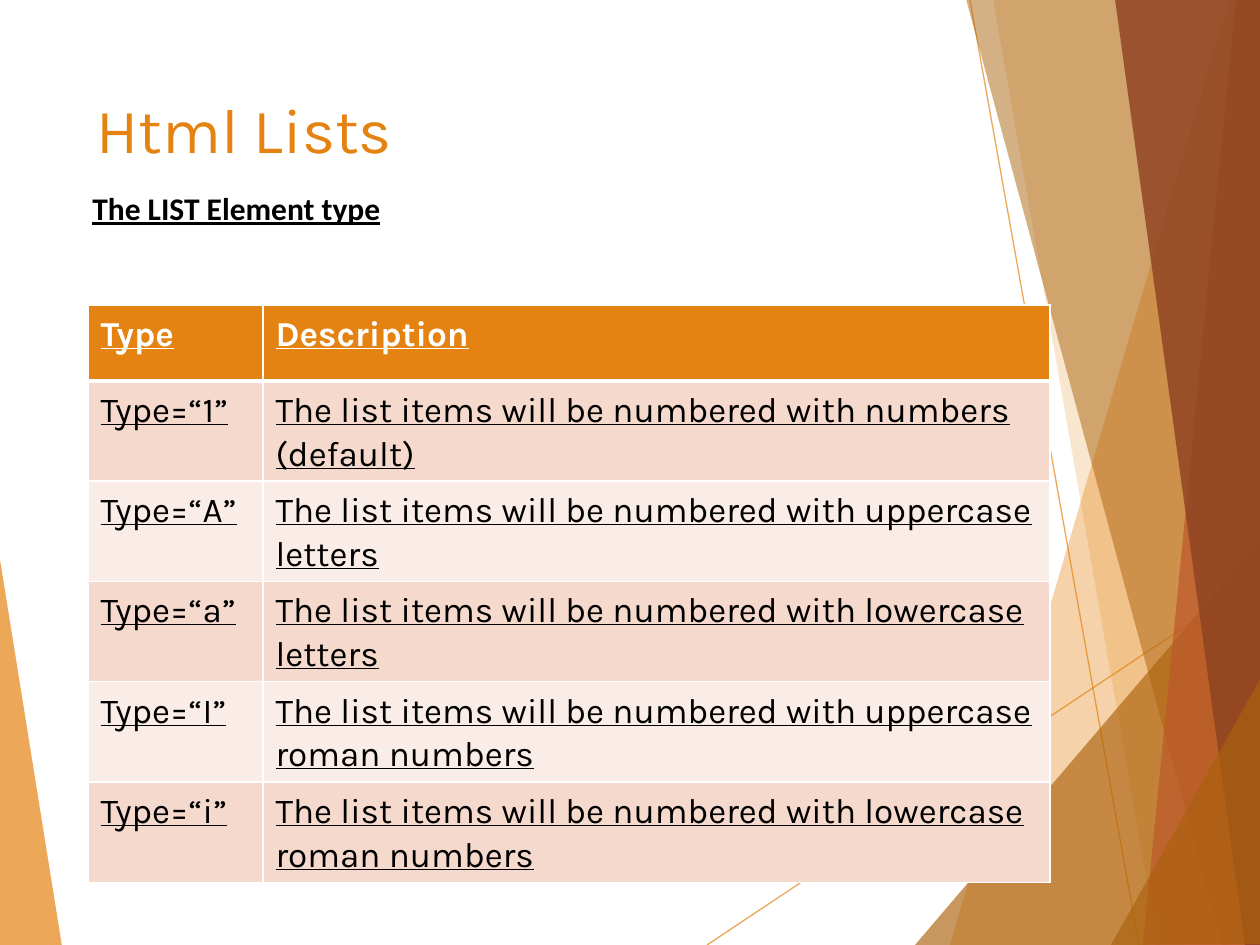
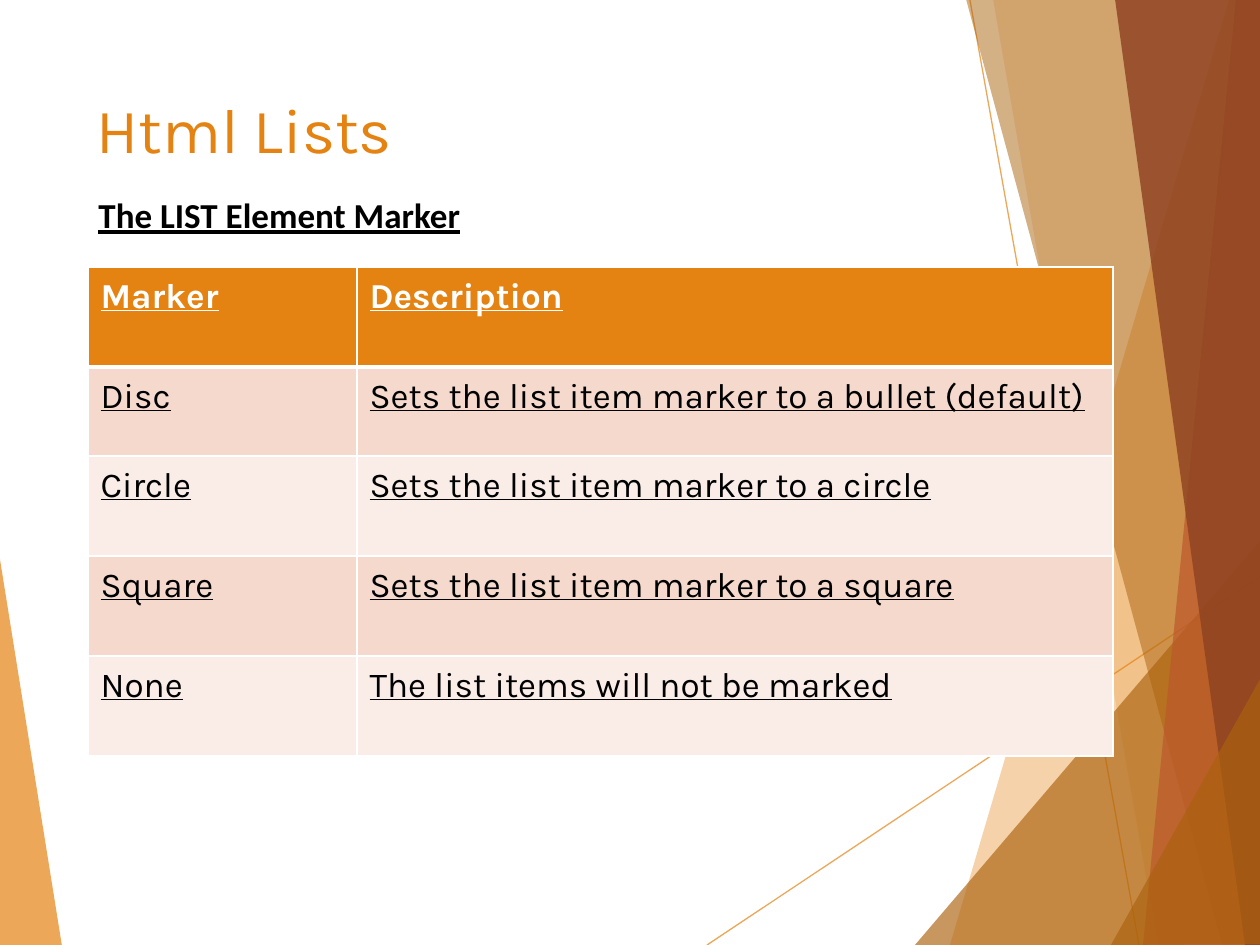
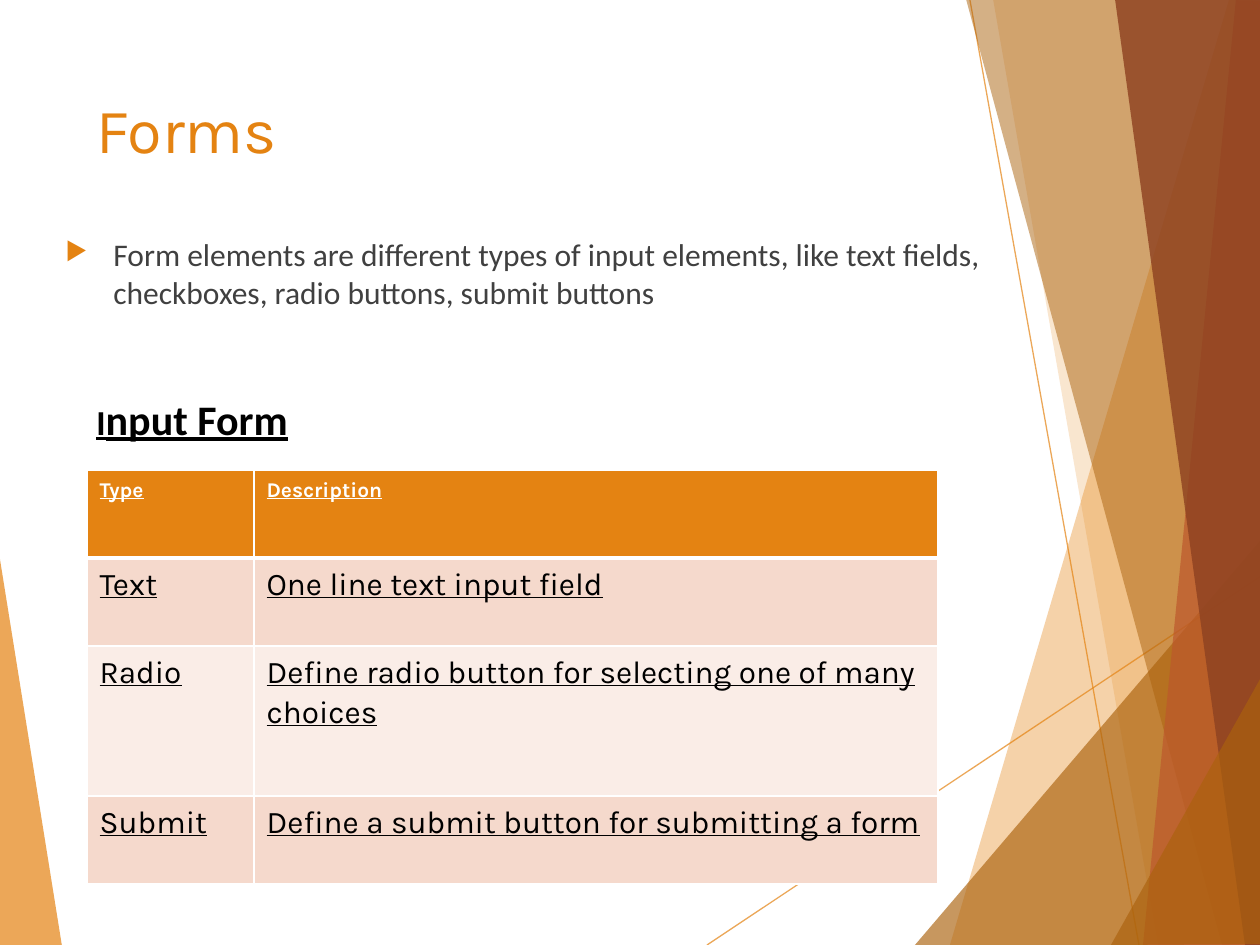
from dataclasses import dataclass
from lxml.etree import SubElement
from pptx import Presentation
from pptx.dml.color import RGBColor as Color
from pptx.enum.shapes import MSO_CONNECTOR as Connector
from pptx.enum.text import MSO_ANCHOR as Anchor, MSO_AUTO_SIZE as AutoSize, PP_ALIGN as Align
from pptx.oxml.ns import qn
from pptx.util import Emu, Pt

SCALE = 914400 / 126


def px(length):
    return Emu(round(length * SCALE))


@dataclass(frozen=True)
class Theme:
    orange: str = "E48312"
    brown: str = "AB620D"
    rust: str = "BD582C"
    chestnut: str = "8E4221"
    band_dark: str = "F5D9CC"
    band_light: str = "FAEDE7"
    white: str = "FFFFFF"
    black: str = "000000"
    gray: str = "404040"
    heading_font: str = "Karla"
    body_font: str = "Calibri"
    title_size: int = 36
    large_size: int = 24
    medium_size: int = 20
    body_size: int = 18
    small_size: int = 12


THEME = Theme()

FACETS_BACK = [
    ([(-1, 553), (62, 946), (-1, 945)], THEME.orange, 70),
]
RAYS = [((707, 945), (1261, 576)), ((970, 0), (1139, 945))]
FACETS_FRONT = [
    ([(1229, 0), (950, 945), (1263, 946), (1261, 1)], THEME.orange, 36),
    ([(993, -1), (1158, 945), (1261, 945), (1261, -1)], THEME.orange, 20),
    ([(915, 945), (1260, 541), (1261, 945)], THEME.brown, 66),
    ([(966, -1), (1222, 945), (1261, 944), (1261, -1)], THEME.brown, 50),
    ([(1236, -1), (1143, 945), (1261, 945), (1260, -1)], THEME.rust, 70),
    ([(1115, -1), (1245, 945), (1263, 945), (1260, -1)], THEME.chestnut, 82),
    ([(1111, 945), (1263, 674), (1263, 944)], THEME.brown, 66),
]


def add_span(para, text, font=THEME.body_font, size=THEME.body_size,
             color=THEME.black, bold=False, underline=False):
    span = para.add_run()
    span.text = text
    span.font.name = font
    span.font.size = Pt(size)
    span.font.color.rgb = Color.from_string(color)
    span.font.bold = bold
    span.font.underline = underline


def set_opacity(shape, percent):
    for color in shape.element.xpath(".//a:srgbClr"):
        SubElement(color, qn("a:alpha"), val=str(percent * 1000))


def set_border(cell, side, points):
    properties = cell._tc.get_or_add_tcPr()
    line = SubElement(properties, qn(f"a:ln{side}"), w=str(Pt(points)))
    fill = SubElement(line, qn("a:solidFill"))
    SubElement(fill, qn("a:srgbClr"), val=THEME.white)


def add_bullet(para, symbol, indent):
    properties = para._p.get_or_add_pPr()
    properties.set("marL", str(px(indent)))
    properties.set("indent", str(-px(indent)))
    color = SubElement(properties, qn("a:buClr"))
    SubElement(color, qn("a:srgbClr"), val=THEME.orange)
    SubElement(properties, qn("a:buSzPct"), val="80000")
    SubElement(properties, qn("a:buChar"), char=symbol)


class Slides:
    def __init__(self, theme):
        self.theme = theme
        self.deck = Presentation()
        self.deck.slide_width = px(1260)
        self.deck.slide_height = px(945)
        self.layout = self.deck.slide_layouts[5]
        self.page = None

    def start_page(self, title, height):
        self.page = self.deck.slides.add_slide(self.layout)
        box = self.page.shapes.title
        box.left, box.top, box.width, box.height = map(px, (84, 84, 874, height))
        frame = box.text_frame
        frame.vertical_anchor = Anchor.TOP
        frame.auto_size = AutoSize.NONE
        para = frame.paragraphs[0]
        para.alignment = Align.LEFT
        add_span(para, title, font=self.theme.heading_font,
                 size=self.theme.title_size, color=self.theme.orange)

    def add_facet(self, points, color, opacity):
        builder = self.page.shapes.build_freeform(*points[0], scale=SCALE)
        builder.add_line_segments(points[1:], close=True)
        facet = builder.convert_to_shape()
        facet.shadow.inherit = False
        facet.fill.solid()
        facet.fill.fore_color.rgb = Color.from_string(color)
        facet.line.fill.background()
        set_opacity(facet, opacity)
        return facet

    def add_ray(self, start, end):
        ray = self.page.shapes.add_connector(
            Connector.STRAIGHT, *map(px, start + end))
        ray.line.color.rgb = Color.from_string(self.theme.orange)
        ray.line.width = Pt(0.75)
        SubElement(ray.element.spPr, qn("a:effectLst"))
        set_opacity(ray, 70)
        return ray

    def share_backdrop(self):
        for placeholder in list(self.layout.placeholders):
            if placeholder.placeholder_format.idx >= 10:
                placeholder.element.getparent().remove(placeholder.element)
        backdrop = [self.add_facet(*facet) for facet in FACETS_BACK]
        backdrop += [self.add_ray(*ray) for ray in RAYS]
        backdrop += [self.add_facet(*facet) for facet in FACETS_FRONT]
        for position, shape in enumerate(backdrop, start=2):
            self.layout.shapes.element.insert(position, shape.element)

    def add_box(self, left, top, width, height):
        box = self.page.shapes.add_textbox(*map(px, (left, top, width, height)))
        box.text_frame.word_wrap = True
        return box.text_frame

    def add_heading(self, left, top, width, height, spans, wrap=True):
        frame = self.add_box(left, top, width, height)
        frame.word_wrap = wrap
        frame.auto_size = AutoSize.SHAPE_TO_FIT_TEXT
        frame.vertical_anchor = Anchor.MIDDLE
        for text, size in spans:
            add_span(frame.paragraphs[0], text, size=size, bold=True, underline=True)

    def add_bullet_text(self, left, top, width, height, text):
        para = self.add_box(left, top, width, height).paragraphs[0]
        add_bullet(para, "▶", 48)
        add_span(para, text, color=self.theme.gray)

    def add_table(self, left, top, widths, heights, rows, header_size, body_size):
        frame = self.page.shapes.add_table(
            len(rows), len(widths),
            *map(px, (left, top, sum(widths), sum(heights))))
        table = frame.table
        table.horz_banding = False
        for column, width in zip(table.columns, widths):
            column.width = px(width)
        for index, (row, height, texts) in enumerate(zip(table.rows, heights, rows)):
            row.height = px(height)
            size = body_size if index else header_size
            for cell, text in zip(row.cells, texts):
                self.fill_cell(cell, text, index, size)

    def fill_cell(self, cell, text, index, size):
        theme = self.theme
        header = index == 0
        borders = {"L": 1, "R": 1, "T": 3 if index == 1 else 1, "B": 3 if header else 1}
        for side, points in borders.items():
            set_border(cell, side, points)
        band = theme.band_dark if index % 2 else theme.band_light
        cell.fill.solid()
        cell.fill.fore_color.rgb = Color.from_string(theme.orange if header else band)
        para = cell.text_frame.paragraphs[0]
        para.line_spacing = 1.07
        para.space_after = Pt(8)
        add_span(para, text, font=theme.heading_font, size=size, bold=header,
                 color=theme.white if header else theme.black, underline=True)


def main():
    slides = Slides(THEME)

    slides.start_page("Html Lists", 181)
    slides.share_backdrop()
    numbering = [
        ("1", "numbers (default)"),
        ("A", "uppercase letters"),
        ("a", "lowercase letters"),
        ("I", "uppercase roman numbers"),
        ("i", "lowercase roman numbers"),
    ]
    list_types = [("Type", "Description")] + [
        (f"Type=“{mark}”", f"The list items will be numbered with {style}")
        for mark, style in numbering
    ]
    slides.add_table(88, 305, [175, 787], [76] * 6, list_types,
                     THEME.medium_size, THEME.medium_size)
    slides.add_heading(80, 182, 329, 51,
                       [("The LIST Element type", THEME.body_size)], wrap=False)

    slides.start_page("Html Lists", 181)
    markers = [
        ("Marker", "Description"),
        ("Disc", "Sets the list item marker to a bullet (default)"),
        ("Circle", "Sets the list item marker to a circle"),
        ("Square", "Sets the list item marker to a square"),
        ("None", "The list items will not be marked"),
    ]
    slides.add_table(88, 267, [269, 756], [100, 89, 100, 100, 100], markers,
                     THEME.medium_size, THEME.medium_size)
    slides.add_heading(86, 187, 432, 55,
                       [("The LIST Element Marker", THEME.medium_size)])

    slides.start_page("Forms", 126)
    slides.add_bullet_text(
        53, 229, 966, 673,
        "Form elements are different types of input elements, like text fields, "
        "checkboxes, radio buttons, submit buttons")
    inputs = [
        ("Type", "Description"),
        ("Text", "One line text input field"),
        ("Radio", "Define radio button for selecting one of many choices"),
        ("Submit", "Define a submit button for submitting a form"),
    ]
    slides.add_table(87, 470, [167, 684], [88, 88, 150, 88], inputs,
                     THEME.small_size, THEME.body_size)
    slides.add_heading(84, 387, 525, 63,
                       [("I", THEME.medium_size), ("nput Form", THEME.large_size)])

    slides.deck.save("out.pptx")


if __name__ == "__main__":
    main()
